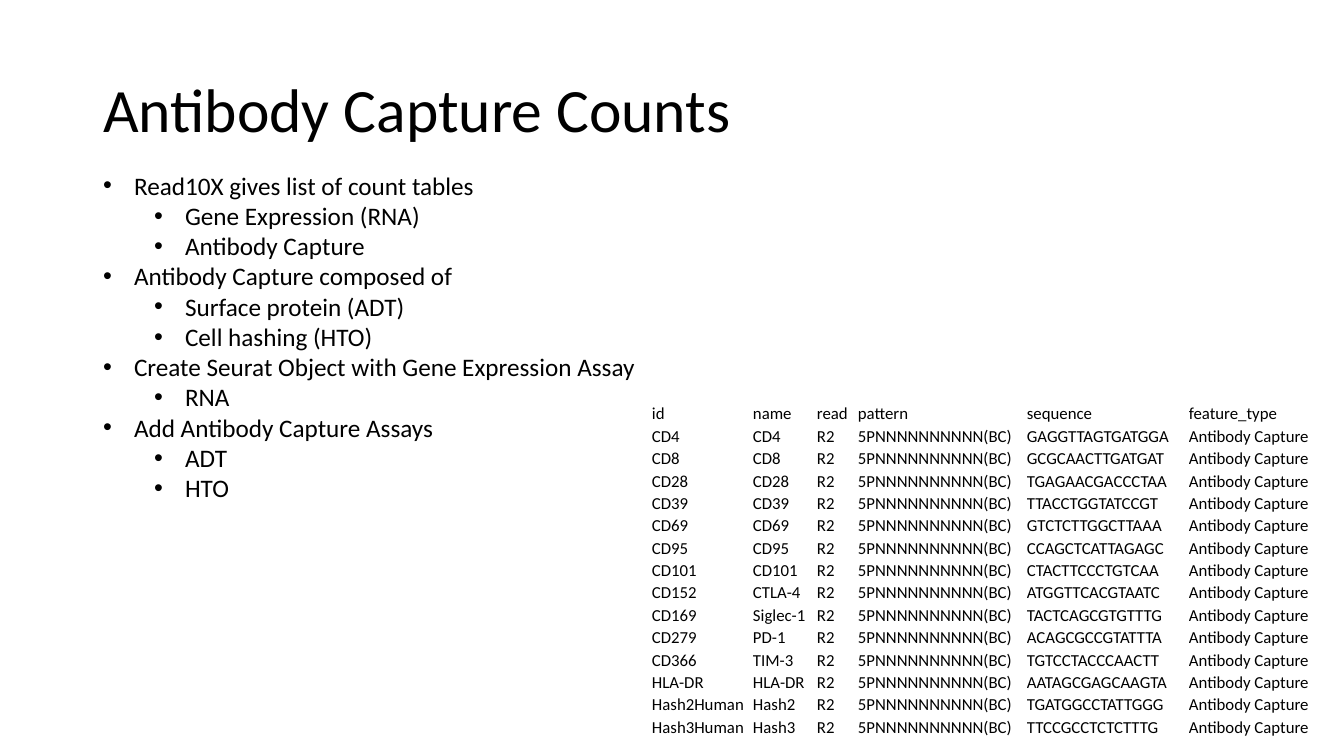
from lxml import etree
from pptx import Presentation
from pptx.dml.color import RGBColor
from pptx.enum.text import MSO_ANCHOR, MSO_AUTO_SIZE, PP_ALIGN
from pptx.oxml.ns import qn
from pptx.util import Emu, Pt

LEFT = PP_ALIGN.LEFT
TOP, MIDDLE, BOTTOM = MSO_ANCHOR.TOP, MSO_ANCHOR.MIDDLE, MSO_ANCHOR.BOTTOM
NO_AUTOFIT = MSO_AUTO_SIZE.NONE
BLACK = RGBColor(0x00, 0x00, 0x00)
FONT = "Calibri"
PX_PER_INCH = 100.8

BULLETS = [
    ("Read10X gives list of count tables", ["Gene Expression (RNA)", "Antibody Capture"]),
    ("Antibody Capture composed of", ["Surface protein (ADT)", "Cell hashing (HTO)"]),
    ("Create Seurat Object with Gene Expression Assay", ["RNA"]),
    ("Add Antibody Capture Assays", ["ADT", "HTO"]),
]

HEADER = ["id", "name", "read", "pattern", "sequence", "feature_type"]
COLUMN_WIDTHS = [101, 64, 41, 169, 162, 128]
FEATURES = [
    ("CD4", "CD4", "GAGGTTAGTGATGGA"),
    ("CD8", "CD8", "GCGCAACTTGATGAT"),
    ("CD28", "CD28", "TGAGAACGACCCTAA"),
    ("CD39", "CD39", "TTACCTGGTATCCGT"),
    ("CD69", "CD69", "GTCTCTTGGCTTAAA"),
    ("CD95", "CD95", "CCAGCTCATTAGAGC"),
    ("CD101", "CD101", "CTACTTCCCTGTCAA"),
    ("CD152", "CTLA-4", "ATGGTTCACGTAATC"),
    ("CD169", "Siglec-1", "TACTCAGCGTGTTTG"),
    ("CD279", "PD-1", "ACAGCGCCGTATTTA"),
    ("CD366", "TIM-3", "TGTCCTACCCAACTT"),
    ("HLA-DR", "HLA-DR", "AATAGCGAGCAAGTA"),
    ("Hash2Human", "Hash2", "TGATGGCCTATTGGG"),
    ("Hash3Human", "Hash3", "TTCCGCCTCTCTTTG"),
]


def px(n):
    """Turn pixels into EMU."""
    return Emu(round(n * 914400 / PX_PER_INCH))


def write(p, text, size, spacing=1.0):
    """Fill a paragraph with one formatted, left-aligned run."""
    p.alignment = LEFT
    p.line_spacing = spacing
    p.space_before = Pt(0)
    r = p.add_run()
    r.text = text
    r.font.name = FONT
    r.font.size = Pt(size)
    r.font.color.rgb = BLACK


def place(sp, x, y, w, h, anchor):
    """Move a placeholder and return its text frame."""
    sp.left, sp.top, sp.width, sp.height = px(x), px(y), px(w), px(h)
    tf = sp.text_frame
    tf.word_wrap = True
    tf.auto_size = NO_AUTOFIT
    tf.vertical_anchor = anchor
    return tf


def add_bullet(tf, text, level):
    """Write one bulleted paragraph at the given level."""
    p = tf.paragraphs[0] if not tf.text else tf.add_paragraph()
    p.level = level
    write(p, text, size=18)
    pPr = p._p.get_or_add_pPr()
    pPr.set("marL", str(px(31 + 51 * level)))
    pPr.set("indent", str(px(-31)))
    etree.SubElement(pPr, qn("a:buFont")).set("typeface", "Arial")
    etree.SubElement(pPr, qn("a:buChar")).set("char", "•")


def add_feature_table(s, x, y, h):
    """Add the plain feature table with equal row heights."""
    rows = [HEADER] + [
        (id_, name, "R2", "5PNNNNNNNNNN(BC)", sequence, "Antibody Capture")
        for id_, name, sequence in FEATURES
    ]
    table = s.shapes.add_table(
        len(rows), len(HEADER), px(x), px(y), px(sum(COLUMN_WIDTHS)), px(h)
    ).table
    table.first_row = table.horz_banding = False
    for column, width in zip(table.columns, COLUMN_WIDTHS):
        column.width = px(width)
    for i, row in enumerate(rows):
        for j, text in enumerate(row):
            cell = table.cell(i, j)
            cell.fill.background()
            cell.vertical_anchor = BOTTOM
            cell.margin_left = cell.margin_right = cell.margin_top = px(1)
            cell.margin_bottom = 0
            write(cell.text_frame.paragraphs[0], text, size=12)


def main():
    """Build the slide and save it."""
    prs = Presentation()
    prs.slide_width, prs.slide_height = px(1344), px(756)
    s = prs.slides.add_slide(prs.slide_layouts[1])
    title = place(s.shapes.title, 93, 40, 1159, 146, MIDDLE)
    write(title.paragraphs[0], "Antibody Capture Counts", size=44, spacing=0.9)
    body = place(s.placeholders[1], 93, 165, 558, 377, TOP)
    for heading, items in BULLETS:
        add_bullet(body, heading, 0)
        for item in items:
            add_bullet(body, item, 1)
    add_feature_table(s, 651, 402, 336)
    prs.save("out.pptx")


if __name__ == "__main__":
    main()
